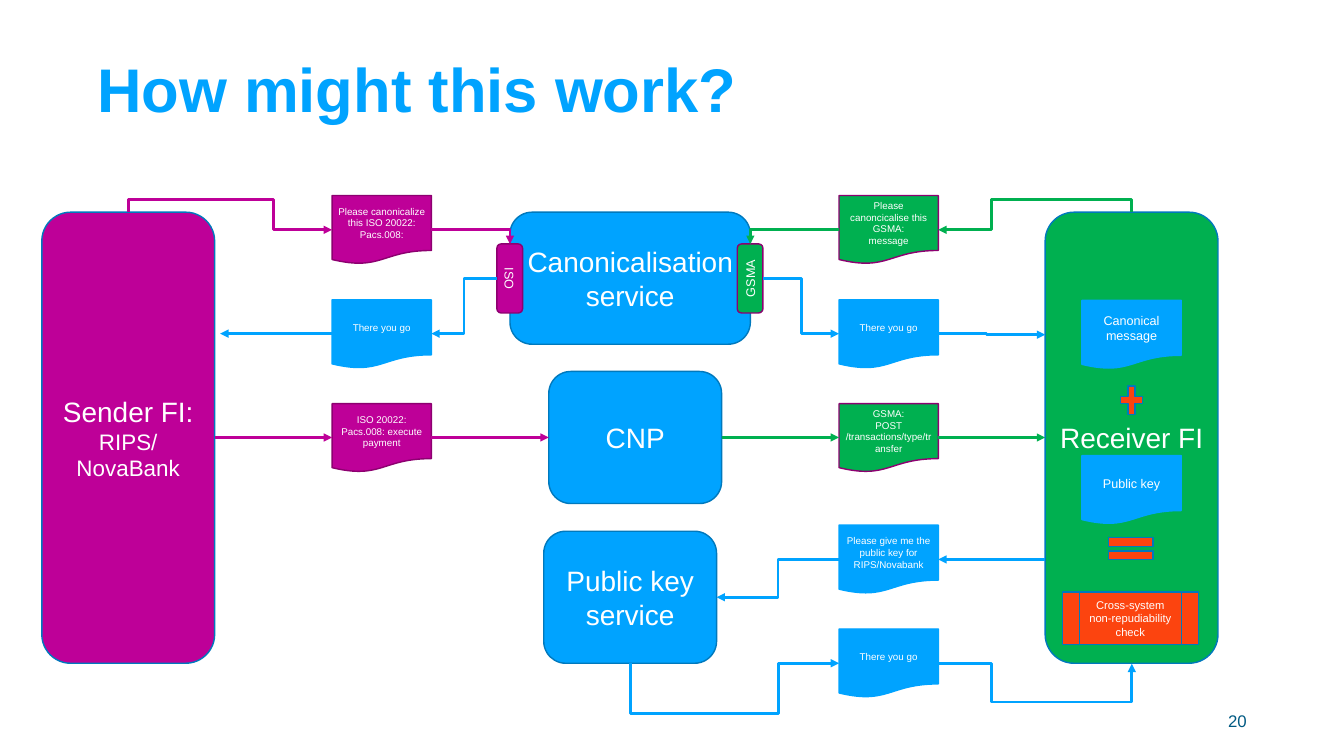
"""Build the payment canonicalisation flow slide."""
from dataclasses import dataclass

from lxml import etree
from pptx import Presentation
from pptx import util as u
from pptx.dml import color
from pptx.enum import shapes, text
from pptx.oxml import ns

PURPLE, GREEN, BLUE, ORANGE = "BE0098", "00B050", "00A3FF", "FC440F"
DARK_PURPLE, DARK_BLUE, NAVY, WHITE = "8D0070", "0079BD", "005A83", "FFFFFF"
KIND = shapes.MSO_SHAPE
Point = tuple[float, float]


@dataclass
class Node:
    left: float
    top: float
    width: float
    height: float
    fill: str
    label: str = ""
    size: float = 40
    border: str = DARK_BLUE
    kind: KIND = KIND.ROUNDED_RECTANGLE
    direction: str = "horz"
    second_size: float | None = None


@dataclass
class Link:
    colour: str
    points: list[Point]


def rgb(value: str) -> color.RGBColor:
    return color.RGBColor.from_string(value)


def document(left: float, top: float, fill: str, label: str, size: float = 14) -> Node:
    border = BLUE if fill == BLUE else DARK_PURPLE
    return Node(left, top, 1.97, 1.36, fill, label, size, border, KIND.FLOWCHART_DOCUMENT)


def style_font(paragraph, size: float, colour: str, bold: bool = False) -> None:
    font = paragraph.font
    font.name, font.size, font.bold = "Arial", u.Pt(size), bold
    font.color.rgb = rgb(colour)


def draw_node(slide, node: Node) -> None:
    shape = slide.shapes.add_shape(
        node.kind, *map(u.Inches, (node.left, node.top, node.width, node.height)))
    shape.shadow.inherit = False
    shape.fill.solid()
    shape.fill.fore_color.rgb = rgb(node.fill)
    shape.line.color.rgb = rgb(node.border)
    shape.line.width = u.Pt(2)
    if not node.label:
        return
    frame = shape.text_frame
    frame.text = node.label
    frame.word_wrap = True
    frame.vertical_anchor = text.MSO_ANCHOR.MIDDLE
    frame._txBody.bodyPr.set("vert", node.direction)
    for index, paragraph in enumerate(frame.paragraphs):
        paragraph.alignment = text.PP_ALIGN.CENTER
        style_font(paragraph, node.second_size if index and node.second_size else node.size, WHITE)


def draw_link(slide, link: Link) -> None:
    """Draw an arrow whose connector type, rotation and bends follow from its corner points."""
    (start_x, start_y), (end_x, end_y) = link.points[0], link.points[-1]
    bends = len(link.points) - 2
    upright = bends > 0 and link.points[1][0] == start_x
    local = [(start_y - y, x - start_x) if upright else (x - start_x, y - start_y)
             for x, y in link.points]
    width, height = local[-1]
    middle_x, middle_y = (start_x + end_x) / 2, (start_y + end_y) / 2
    connector = slide.shapes.add_connector(
        shapes.MSO_CONNECTOR.ELBOW if bends else shapes.MSO_CONNECTOR.STRAIGHT,
        *map(u.Inches, (middle_x - width / 2, middle_y - height / 2,
                        middle_x + width / 2, middle_y + height / 2)))
    connector.line.color.rgb = rgb(link.colour)
    connector.line.width = u.Pt(4)
    properties = connector._element.spPr
    etree.SubElement(properties, ns.qn("a:effectLst"))
    etree.SubElement(connector.line._get_or_add_ln(), ns.qn("a:tailEnd"), type="triangle")
    if upright:
        properties.find(ns.qn("a:xfrm")).set("rot", "16200000")
    if bends:
        geometry = properties.find(ns.qn("a:prstGeom"))
        geometry.set("prst", f"bentConnector{bends + 1}")
        guides = geometry.find(ns.qn("a:avLst"))
        if guides is None:
            guides = etree.SubElement(geometry, ns.qn("a:avLst"))
        ratios = [local[1][0] / width] if bends > 1 else []
        if bends > 2:
            ratios.append(local[2][1] / height)
        for number, ratio in enumerate(ratios, 1):
            etree.SubElement(guides, ns.qn("a:gd"), name=f"adj{number}",
                             fmla=f"val {round(ratio * 100000)}")


def draw_text(slide, box: tuple, label: str, size: float, colour: str,
              alignment: text.PP_ALIGN, bold: bool = False) -> None:
    frame = slide.shapes.add_textbox(*map(u.Inches, box)).text_frame
    frame.word_wrap = True
    frame.vertical_anchor = text.MSO_ANCHOR.MIDDLE
    paragraph = frame.paragraphs[0]
    paragraph.text = label
    paragraph.alignment = alignment
    style_font(paragraph, size, colour, bold)


LEFT, RIGHT, INNER = 6.59, 16.65, 21.47
NODES = [
    Node(0.83, 4.21, 3.43, 8.95, PURPLE, "Sender FI:\nRIPS/NovaBank", second_size=32),
    Node(20.74, 4.21, 3.43, 8.95, GREEN, "Receiver FI"),
    Node(10.12, 4.21, 4.77, 2.62, BLUE, "Canonicalisation service"),
    Node(10.89, 7.37, 3.43, 2.62, BLUE, "CNP"),
    Node(10.79, 10.54, 3.43, 2.62, BLUE, "Public key service"),
    Node(9.86, 4.84, 0.51, 1.37, PURPLE, "ISO", 18, DARK_PURPLE, direction="vert"),
    Node(14.63, 4.84, 0.51, 1.37, GREEN, "GSMA", 18, DARK_PURPLE, direction="vert270"),
    document(LEFT, 3.88, PURPLE, "Please canonicalize this ISO 20022:\nPacs.008:"),
    document(LEFT, 5.95, BLUE, "There you go"),
    document(LEFT, 8.01, PURPLE, "ISO 20022:\nPacs.008: execute payment"),
    document(RIGHT, 3.88, GREEN, "Please canoncicalise this GSMA:\nmessage"),
    document(RIGHT, 5.95, BLUE, "There you go"),
    document(RIGHT, 8.01, GREEN, "GSMA:\nPOST /transactions/type/transfer"),
    document(RIGHT, 10.42, BLUE, "Please give me the public key for RIPS/Novabank"),
    document(RIGHT, 12.48, BLUE, "There you go"),
    document(INNER, 5.96, BLUE, "Canonical message", 18),
    document(INNER, 9.04, BLUE, "Public key", 18),
    Node(22.16, 7.56, 0.59, 0.76, ORANGE, kind=KIND.MATH_PLUS),
    Node(21.84, 10.51, 1.2, 0.75, ORANGE, kind=KIND.MATH_EQUAL),
    Node(21.08, 11.75, 2.7, 1.04, ORANGE, "Cross-system non-repudiability check", 16,
         kind=KIND.FLOWCHART_PREDEFINED_PROCESS),
]
LINKS = [
    Link(PURPLE, [(2.55, 4.21), (2.55, 3.96), (5.43, 3.96), (5.43, 4.56), (6.59, 4.56)]),
    Link(PURPLE, [(8.56, 4.56), (10.12, 4.56), (10.12, 4.84)]),
    Link(BLUE, [(9.86, 5.53), (9.21, 5.53), (9.21, 6.62), (8.56, 6.62)]),
    Link(BLUE, [(6.59, 6.62), (4.37, 6.62)]),
    Link(PURPLE, [(4.26, 8.68), (6.59, 8.68)]),
    Link(PURPLE, [(8.56, 8.68), (10.89, 8.68)]),
    Link(GREEN, [(14.32, 8.68), (16.65, 8.68)]),
    Link(GREEN, [(18.62, 8.68), (20.74, 8.68)]),
    Link(GREEN, [(22.46, 4.21), (22.46, 3.96), (19.68, 3.96), (19.68, 4.56), (18.62, 4.56)]),
    Link(GREEN, [(16.65, 4.56), (14.89, 4.56), (14.89, 4.84)]),
    Link(BLUE, [(15.14, 5.53), (15.9, 5.53), (15.9, 6.62), (16.65, 6.62)]),
    Link(BLUE, [(18.62, 6.62), (19.58, 6.62), (19.58, 6.64), (20.74, 6.64)]),
    Link(BLUE, [(20.74, 11.1), (18.62, 11.1)]),
    Link(BLUE, [(16.65, 11.1), (15.44, 11.1), (15.44, 11.85), (14.22, 11.85)]),
    Link(BLUE, [(12.51, 13.15), (12.51, 14.17), (15.44, 14.17), (15.44, 13.16), (16.65, 13.16)]),
    Link(BLUE, [(18.62, 13.16), (19.68, 13.16), (19.68, 13.94), (22.46, 13.94), (22.46, 13.17)]),
]


def main() -> None:
    presentation = Presentation()
    presentation.slide_width, presentation.slide_height = u.Inches(26.67), u.Inches(15)
    slide = presentation.slides.add_slide(presentation.slide_layouts[6])
    draw_text(slide, (1.83, 0.75, 23, 1.99), "How might this work?", 88, BLUE,
              text.PP_ALIGN.LEFT, bold=True)
    draw_text(slide, (18.84, 13.9, 6, 0.8), "20", 24, NAVY, text.PP_ALIGN.RIGHT)
    for node in NODES:
        draw_node(slide, node)
    for link in LINKS:
        draw_link(slide, link)
    presentation.save("out.pptx")


if __name__ == "__main__":
    main()
